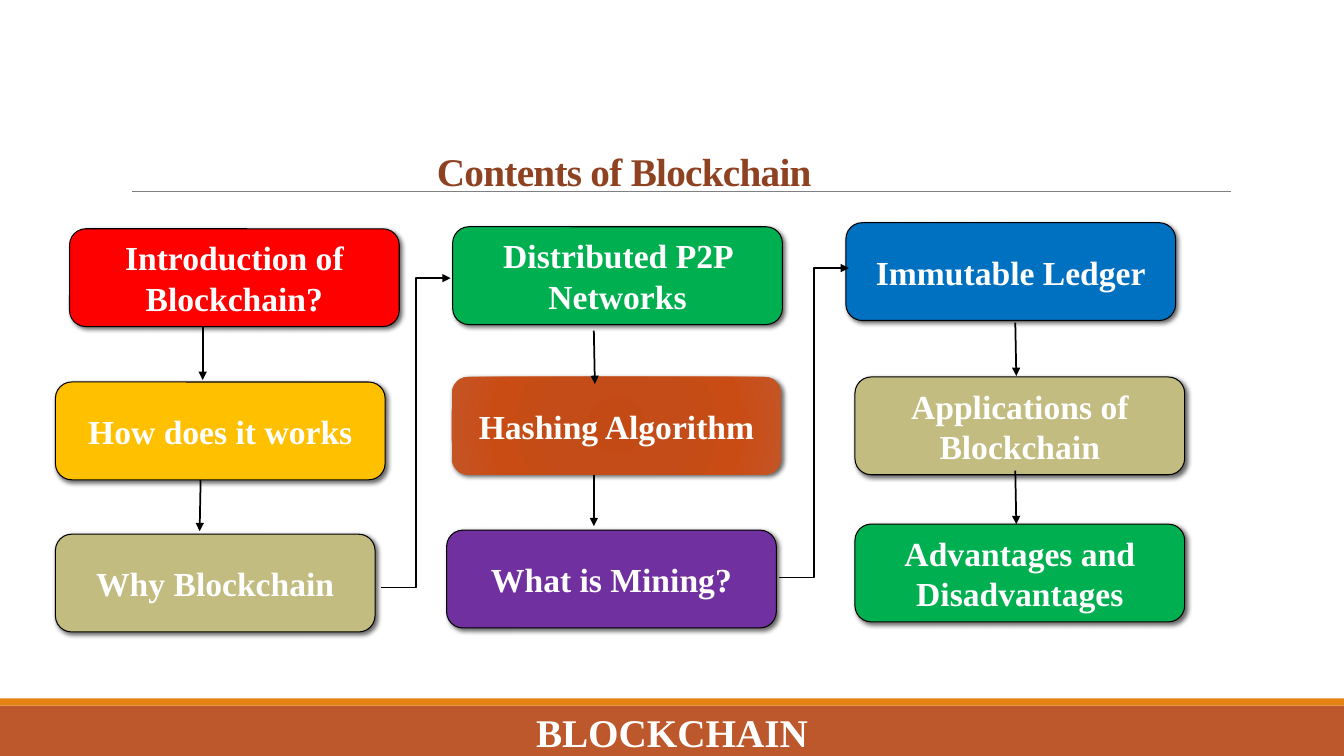
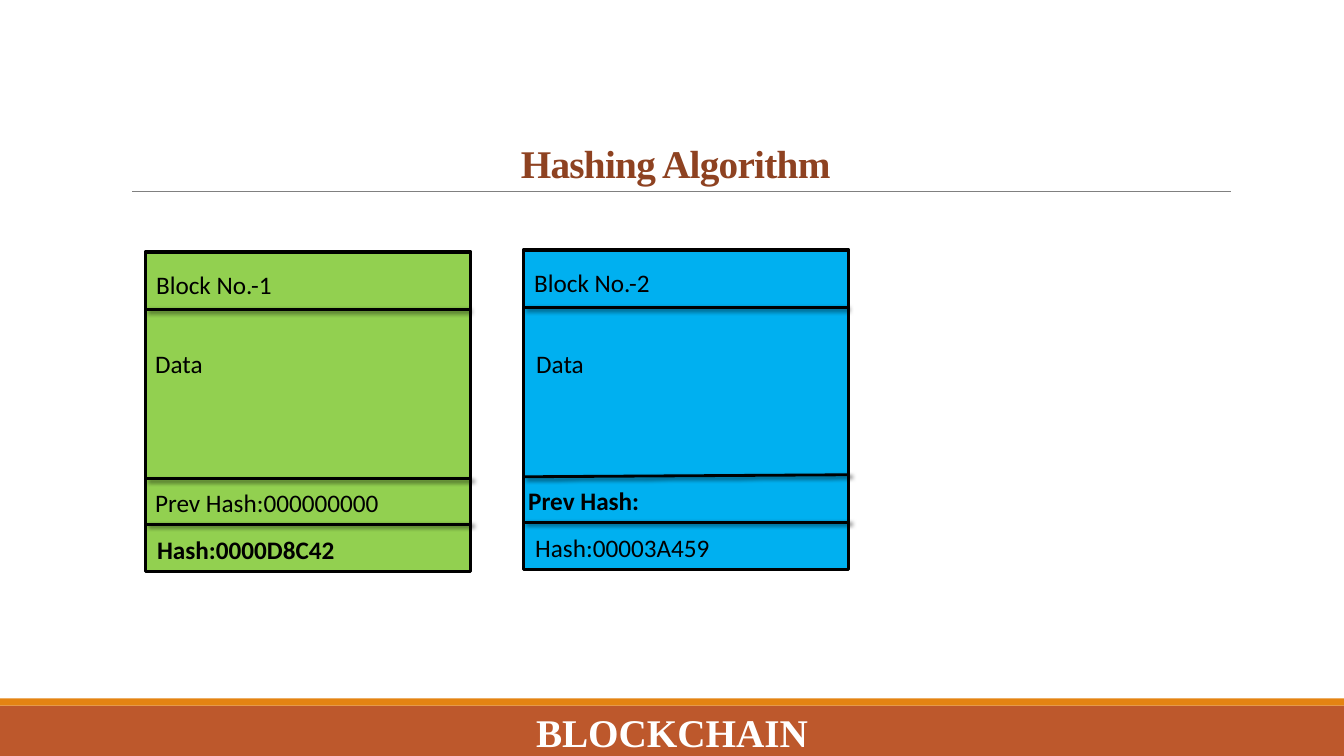
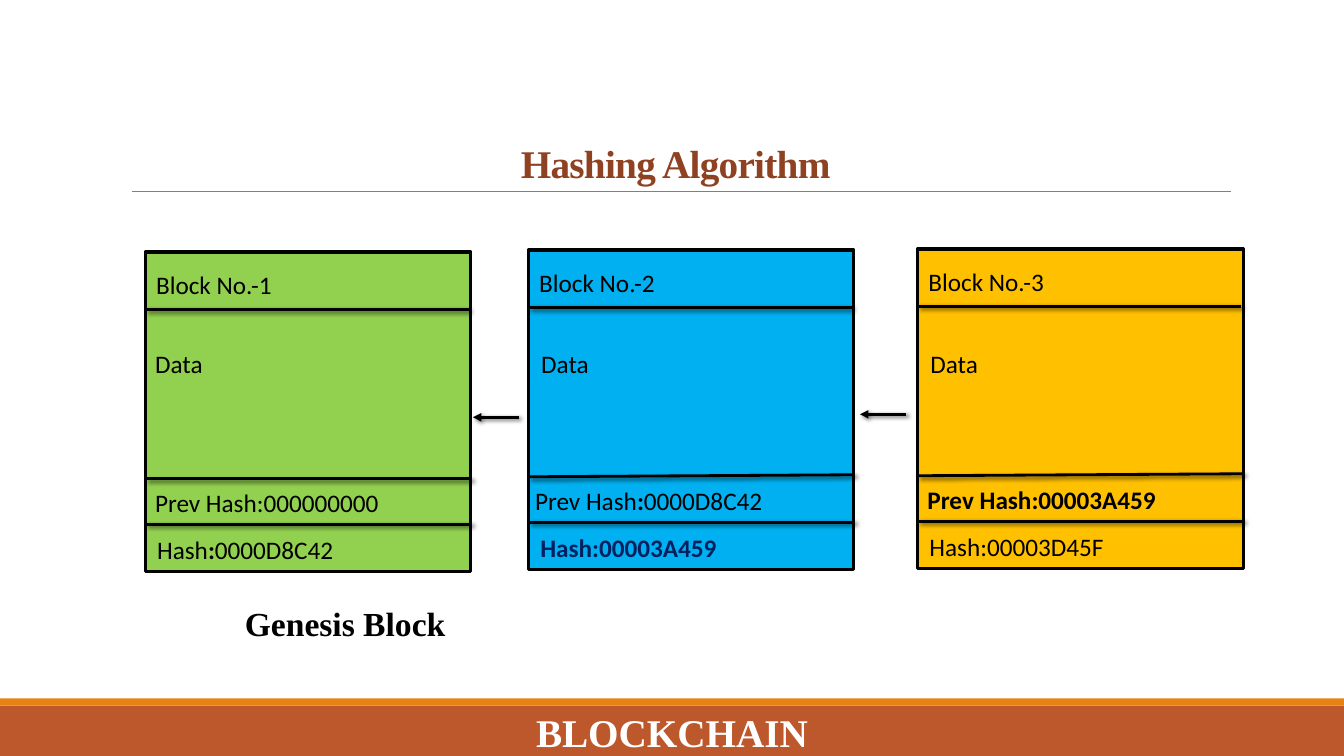
from lxml.etree import SubElement
from pptx import Presentation
from pptx.dml.color import RGBColor
from pptx.enum.shapes import MSO_CONNECTOR as LINK, MSO_SHAPE as SHAPE
from pptx.enum.text import MSO_ANCHOR as ANCHOR, MSO_AUTO_SIZE as FIT, PP_ALIGN as ALIGN
from pptx.oxml import parse_xml
from pptx.oxml.ns import nsdecls, qn
from pptx.util import Pt

PX = 9144
BLACK = RGBColor(0x00, 0x00, 0x00)
WHITE = RGBColor(0xFF, 0xFF, 0xFF)
GREY = RGBColor(0x80, 0x80, 0x80)
BROWN = RGBColor(0x8E, 0x42, 0x21)
RUST = RGBColor(0xBD, 0x58, 0x2C)
ORANGE = RGBColor(0xE4, 0x83, 0x12)
RED = RGBColor(0xFF, 0x00, 0x00)
GREEN = RGBColor(0x00, 0xB0, 0x50)
BLUE = RGBColor(0x00, 0x70, 0xC0)
PURPLE = RGBColor(0x70, 0x30, 0xA0)
GOLD = RGBColor(0xFF, 0xC0, 0x00)
KHAKI = RGBColor(0xC2, 0xBC, 0x80)
LIME = RGBColor(0x92, 0xD0, 0x50)
SKY = RGBColor(0x00, 0xB0, 0xF0)
NAVY = RGBColor(0x00, 0x20, 0x60)
EMBER = ((0, "C44A15"), (34, "C34C18"), (70, "C94C15"), (100, "C45525"))
SERIF, SANS = "Times New Roman", "Calibri"


class Deck:
    def __init__(self):
        self.prs = Presentation()
        self.prs.slide_width, self.prs.slide_height = 1333 * PX, 750 * PX
        self.shapes = None

    def add_slide(self, heading, left, top):
        slide = self.prs.slides.add_slide(self.prs.slide_layouts[5])
        self.shapes = slide.shapes
        self.box(0, 700, 1333, 50, RUST)
        self.box(0, 693, 1333, 7, ORANGE)
        self.line(131, 190, 1221, 190, GREY, 0.5)
        title = self.shapes.title
        title.left, title.top, title.width, title.height = (v * PX for v in (left, top, 1100, 159))
        title.text_frame.vertical_anchor = ANCHOR.BOTTOM
        title.text_frame.auto_size = FIT.NONE
        paragraph = self.set_text(title, heading, 28, BROWN, SERIF, True, ALIGN.CENTER)
        paragraph.line_spacing = 0.85
        paragraph._p.pPr.find(qn("a:defRPr")).set("spc", "-50")
        footer = self.label(403, 706, 527, "BLOCKCHAIN", 28, WHITE, SERIF, True, ALIGN.CENTER)
        footer.text_frame.vertical_anchor = ANCHOR.MIDDLE

    def set_text(self, shape, text, size, color, font, bold, align):
        paragraph = shape.text_frame.paragraphs[0]
        paragraph.alignment = align
        style = paragraph.font
        style.size, style.name, style.bold = Pt(size), font, bold
        style.color.rgb = color
        parts = (text,) if isinstance(text, str) else text
        for i, part in enumerate(parts):
            run = paragraph.add_run()
            run.text = part
            if i % 2:
                run.font.bold = True
        return paragraph

    def label(self, x, y, width, text, size=18, color=BLACK, font=SANS, bold=False,
              align=ALIGN.LEFT):
        label = self.shapes.add_textbox(x * PX, y * PX, width * PX, 40 * PX)
        label.text_frame.word_wrap = True
        self.set_text(label, text, size, color, font, bold, align)
        return label

    def box(self, x, y, width, height, fill, border=0, kind=SHAPE.RECTANGLE):
        box = self.shapes.add_shape(kind, x * PX, y * PX, width * PX, height * PX)
        box.shadow.inherit = False
        box.fill.solid()
        box.fill.fore_color.rgb = fill
        if border:
            box.line.color.rgb = BLACK
            box.line.width = Pt(border)
        else:
            box.line.fill.background()
        return box

    def cast_shadow(self, effects, blur):
        shadow = SubElement(effects, qn("a:outerShdw"), blurRad=str(Pt(blur)),
                            dist=str(Pt(2)), dir="2700000", algn="tl", rotWithShape="0")
        black = SubElement(shadow, qn("a:srgbClr"), val="000000")
        SubElement(black, qn("a:alpha"), val="60000")

    def topic(self, x, y, text, fill, width=327):
        glowing = fill is EMBER
        topic = self.box(x, y, width, 97, RUST if glowing else fill,
                         0 if glowing else 0.75, SHAPE.ROUNDED_RECTANGLE)
        if glowing:
            stops = "".join(f'<a:gs pos="{pos * 1000}"><a:srgbClr val="{color}"/></a:gs>'
                            for pos, color in EMBER)
            gradient = parse_xml(
                f'<a:gradFill {nsdecls("a")} rotWithShape="1"><a:gsLst>{stops}</a:gsLst>'
                '<a:path path="circle"><a:fillToRect l="100000" t="100000" r="100000" '
                'b="100000"/></a:path></a:gradFill>')
            props = topic._element.spPr
            props.replace(props.find(qn("a:solidFill")), gradient)
        self.cast_shadow(topic._element.spPr.find(qn("a:effectLst")), 3.5)
        self.set_text(topic, text, 24, WHITE, SERIF, True, ALIGN.CENTER)

    def line(self, x1, y1, x2, y2, color=BLACK, weight=2.0, arrow=False, shadow=False,
             kind=LINK.STRAIGHT):
        line = self.shapes.add_connector(kind, x1 * PX, y1 * PX, x2 * PX, y2 * PX)
        line.line.color.rgb = color
        line.line.width = Pt(weight)
        props = line._element.spPr
        if arrow:
            SubElement(props.find(qn("a:ln")), qn("a:tailEnd"), type="triangle")
        effects = SubElement(props, qn("a:effectLst"))
        if shadow:
            self.cast_shadow(effects, 3)

    def block(self, number, x, y, fill, prev, own, prev_dx=0, data_dx=3, tilt=2,
              prev_bold=False, own_bold=False, own_color=BLACK):
        self.box(x, y, 323, 317, fill, 2.25)
        for start, end, dx in ((57, 57, 321), (225, 225 - tilt, 324), (270, 270, 324)):
            self.line(x + 1, y + start, x + dx, y + end, shadow=True)
        self.label(x + 1, y + 12, 300, f"Block No.-{number}")
        self.label(x + data_dx, 341, 300, "Data")
        self.label(x + prev_dx, y + 229, 300, prev, bold=prev_bold)
        self.label(x + 2, y + 275, 289, own, bold=own_bold, color=own_color)


def contents_slide(deck):
    deck.add_slide("Contents of Blockchain", 69, 39)
    for x, y, text, fill in (
        (69, 227, "Introduction of Blockchain?", RED),
        (55, 379, "How does it works", GOLD),
        (449, 225, "Distributed P2P Networks", GREEN),
        (448, 374, "Hashing Algorithm", EMBER),
        (443, 526, "What is Mining?", PURPLE),
        (839, 221, "Immutable Ledger", BLUE),
        (848, 374, "Applications of Blockchain", KHAKI),
        (848, 520, "Advantages and Disadvantages", GREEN),
    ):
        deck.topic(x, y, text, fill)
    deck.topic(55, 530, "Why Blockchain", KHAKI, 317)
    for x, y, dx, dy in ((201, 323, 0, 54), (199, 476, -1, 51), (589, 328, 1, 53),
                         (589, 471, 0, 51), (1007, 320, 1, 53), (1007, 467, 1, 53)):
        deck.line(x, y, x + dx, y + dy, weight=1.25, arrow=True)
    for x, y in ((378, 583), (773, 573)):
        deck.line(x, y, x + 69, y - 307, weight=1.25, arrow=True, kind=LINK.ELBOW)


def two_blocks_slide(deck):
    deck.add_slide("Hashing Algorithm", 120, 31)
    deck.block(1, 144, 250, LIME, "Prev Hash:000000000", "Hash:0000D8C42",
               data_dx=0, tilt=0, own_bold=True)
    deck.block(2, 519, 248, SKY, "Prev Hash:", "Hash:00003A459", prev_dx=-5, prev_bold=True)


def chain_slide(deck):
    deck.add_slide("Hashing Algorithm", 120, 31)
    deck.block(1, 144, 250, LIME, "Prev Hash:000000000", ("Hash", ":", "0000D8C42"),
               data_dx=0, tilt=0)
    deck.block(2, 524, 248, SKY, ("Prev Hash", ":", "0000D8C42"), "Hash:00003A459",
               prev_dx=-3, own_bold=True, own_color=NAVY)
    deck.block(3, 910, 247, GOLD, "Prev Hash:00003A459", "Hash:00003D45F", prev_bold=True)
    deck.label(233, 593, 300, "Genesis Block", 24, font=SERIF, bold=True)
    for x, y in ((515, 414), (899, 411)):
        deck.line(x, y, x - 46, y, arrow=True, shadow=True)


def main():
    deck = Deck()
    contents_slide(deck)
    two_blocks_slide(deck)
    chain_slide(deck)
    deck.prs.save("out.pptx")


if __name__ == "__main__":
    main()
